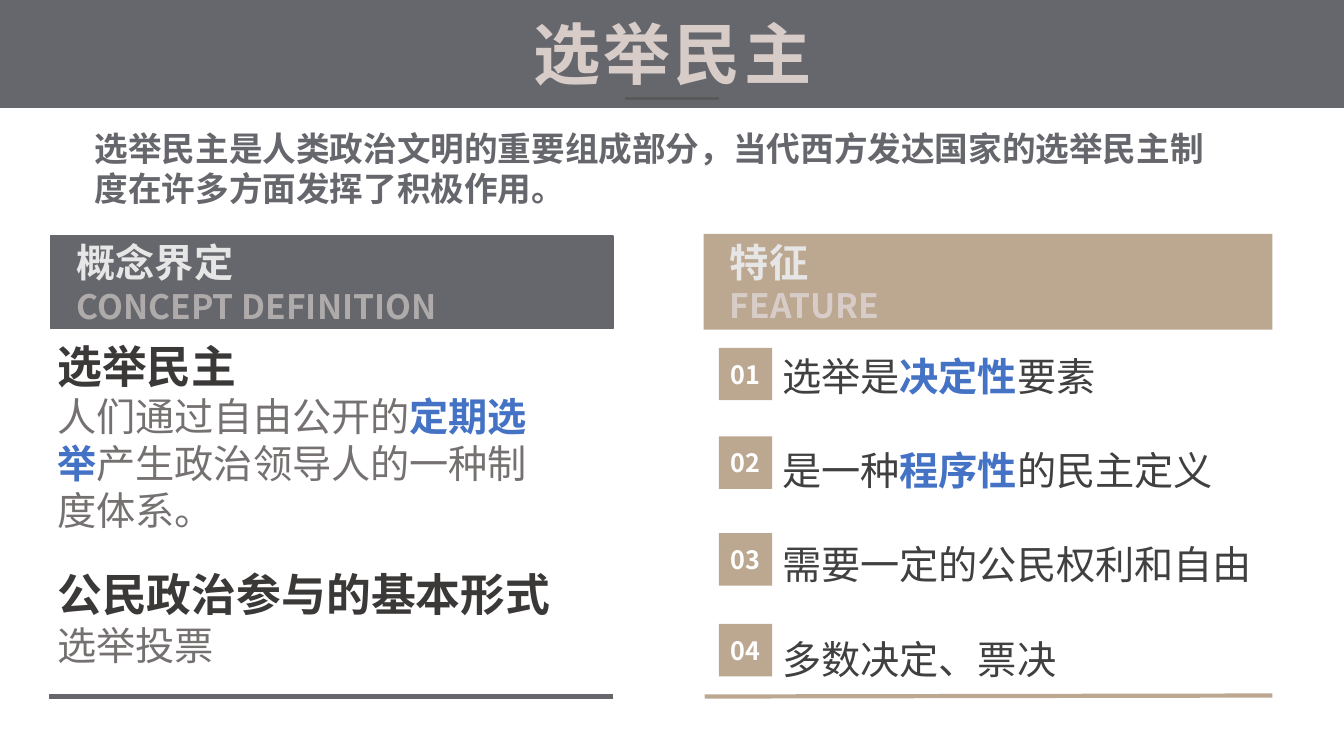
"""Build a slide on electoral democracy: its concept and its features."""
import pptx
import pptx.dml.color
import pptx.enum.shapes
import pptx.enum.text
import pptx.oxml.ns
import pptx.util
from lxml import etree
from pptx.util import Inches

FONT = "Noto Sans CJK SC"
GREY, TAN, BLUE = "66676C", "BCA890", "4472C4"
PALE, ROSE, DARK, BODY, INK = "E7E6E6", "D7CCC8", "3B3838", "767171", "404040"
ALIGN = pptx.enum.text.PP_ALIGN
ANCHOR = pptx.enum.text.MSO_ANCHOR


def color(value):
    """Turn a hex string into a colour."""
    return pptx.dml.color.RGBColor.from_string(value)


def format_run(run, size, fill, bold=False, spacing=0):
    """Set font, size, colour, weight and letter spacing of a run."""
    run.font.name = FONT
    run.font.size = pptx.util.Pt(size)
    run.font.bold = bold
    run.font.color.rgb = color(fill)
    properties = run._r.get_or_add_rPr()
    etree.SubElement(properties, pptx.oxml.ns.qn("a:ea"), typeface=FONT)
    if spacing:
        properties.set("spc", str(round(spacing * 100)))


def write_paragraphs(text_frame, paragraphs, align=ALIGN.LEFT):
    """Fill a frame with paragraphs, each a list of (text, run format...) tuples."""
    text_frame.text = "\n".join("" for _ in paragraphs)
    for paragraph, pieces in zip(text_frame.paragraphs, paragraphs):
        paragraph.alignment = align
        for text, *style in pieces:
            run = paragraph.add_run()
            run.text = text
            format_run(run, *style)


def add_text(slide, left, top, width, height, paragraphs, align=ALIGN.LEFT):
    """Add a wrapping text box and return its frame."""
    box = slide.shapes.add_textbox(
        Inches(left), Inches(top), Inches(width), Inches(height))
    box.text_frame.word_wrap = True
    write_paragraphs(box.text_frame, paragraphs, align)
    return box.text_frame


def add_block(slide, left, top, width, height, fill, paragraphs=(), align=ALIGN.LEFT):
    """Add a flat rectangle with optional text and return it."""
    block = slide.shapes.add_shape(
        pptx.enum.shapes.MSO_SHAPE.RECTANGLE,
        Inches(left), Inches(top), Inches(width), Inches(height))
    block.shadow.inherit = False
    block.fill.solid()
    block.fill.fore_color.rgb = color(fill)
    block.line.fill.background()
    if paragraphs:
        block.text_frame.vertical_anchor = ANCHOR.MIDDLE
        block.text_frame.word_wrap = True
        write_paragraphs(block.text_frame, paragraphs, align)
    return block


def add_heading(slide, left, top, width, height, fill, chinese, english, english_color):
    """Add a bilingual section heading with an indented text."""
    heading = add_block(slide, left, top, width, height, fill, [
        [(chinese, 28, PALE, True)], [(english, 24, english_color, True)]])
    heading.text_frame.margin_left = Inches(0.26)
    return heading


def add_rule(slide, start, end, stroke, weight):
    """Add a straight line without shadow."""
    rule = slide.shapes.add_connector(
        pptx.enum.shapes.MSO_CONNECTOR.STRAIGHT,
        *(Inches(value) for value in (*start, *end)))
    rule.line.color.rgb = color(stroke)
    rule.line.width = pptx.util.Pt(weight)
    etree.SubElement(rule._element.spPr, pptx.oxml.ns.qn("a:effectLst"))


def add_title(slide):
    """Add the title band, the title and the short rule under it."""
    add_block(slide, 0, -0.02, 13.33, 1.09, GREY)
    title = add_text(slide, 4.79, 0.08, 3.76, 1.1,
                     [[("选举民主", 48, ROSE, True, 2.2)]], ALIGN.CENTER)
    title.margin_left = title.margin_right = Inches(0.07)
    title.margin_top = title.margin_bottom = Inches(0.04)
    add_rule(slide, (6.2, 0.98), (7.13, 0.98), "595959", 2.25)


def add_concept(slide):
    """Add the left column with the definition."""
    heading = add_heading(slide, 0.5, 2.34, 5.58, 0.92, GREY,
                          "概念界定", "CONCEPT DEFINITION", "AFABAB")
    heading.line.color.rgb = color(GREY)
    heading.line.width = pptx.util.Pt(1)
    definition = add_text(slide, 0.47, 3.31, 5.2, 3.51, [
        [("选举民主", 32, DARK, True)],
        [("人们通过自由公开的", 28, BODY), ("定期选举", 28, BLUE, True),
         ("产生政治领导人的一种制度体系。", 28, BODY)],
        [("公民政治参与的基本形式", 32, DARK, True)],
        [("选举投票", 28, BODY)]])
    definition.paragraphs[2].space_before = pptx.util.Pt(24)
    add_rule(slide, (0.49, 6.91), (6.08, 6.91), GREY, 3)


def add_features(slide):
    """Add the right column with the numbered features."""
    add_heading(slide, 6.98, 2.32, 5.64, 0.95, TAN, "特征", "FEATURE", ROSE)
    features = add_text(slide, 7.66, 2.98, 4.91, 3.72, [
        [("选举是", 28, INK), ("决定性", 28, BLUE, True), ("要素", 28, INK)],
        [("是一种", 28, INK), ("程序性", 28, BLUE, True), ("的民主定义", 28, INK)],
        [("需要一定的公民权利和自由", 28, INK)],
        [("多数决定、票决", 28, INK)]])
    for paragraph in features.paragraphs:
        paragraph.line_spacing = 2.0
    for number, top in enumerate((3.45, 4.33, 5.29, 6.19), start=1):
        add_block(slide, 7.13, top, 0.53, 0.52, TAN,
                  [[(f"{number:02}", 18, "FFFFFF", True)]], ALIGN.CENTER)
    add_rule(slide, (6.99, 6.91), (12.62, 6.9), TAN, 3)


def main():
    """Build and save the slide."""
    presentation = pptx.Presentation()
    presentation.slide_width = Inches(13.33)
    presentation.slide_height = Inches(7.5)
    slide = presentation.slides.add_slide(presentation.slide_layouts[6])
    add_title(slide)
    add_concept(slide)
    add_features(slide)
    introduction = add_text(slide, 0.84, 1.22, 11.22, 0.91, [[(
        "选举民主是人类政治文明的重要组成部分，当代西方发达国家的选举民主制度"
        "在许多方面发挥了积极作用。", 24, GREY, True)]])
    introduction.auto_size = pptx.enum.text.MSO_AUTO_SIZE.SHAPE_TO_FIT_TEXT
    presentation.save("out.pptx")


if __name__ == "__main__":
    main()
